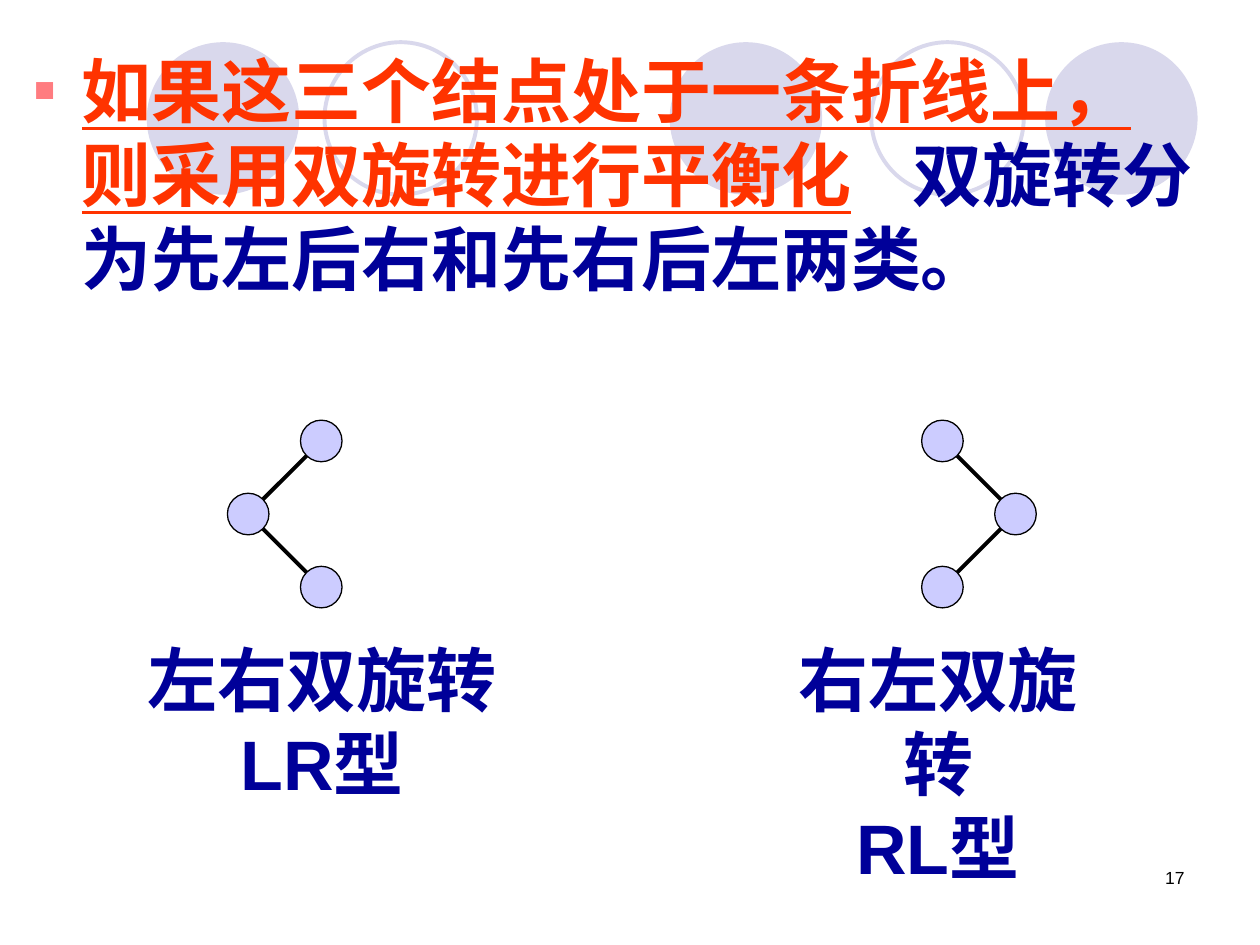
from lxml import etree
from pptx import Presentation
from pptx.dml.color import RGBColor
from pptx.enum import shapes, text
from pptx.oxml import ns
from pptx.util import Inches, Pt

LAVENDER = RGBColor(0xD9, 0xD8, 0xEC)
NODE_FILL = RGBColor(0xCC, 0xCC, 0xFF)
BLACK = RGBColor(0, 0, 0)
RED = RGBColor(0xFF, 0x33, 0x00)
NAVY = RGBColor(0x00, 0x00, 0x99)
CJK_FONT = "Noto Sans CJK SC"

prs = Presentation()
prs.slide_width, prs.slide_height = Inches(10), Inches(7.5)
slide = prs.slides.add_slide(prs.slide_layouts[1])
title = slide.shapes.title
title.element.getparent().remove(title.element)


def add_circle(center_x, center_y, size, fill, line, width):
    circle = slide.shapes.add_shape(
        shapes.MSO_SHAPE.OVAL, Inches(center_x - size / 2),
        Inches(center_y - size / 2), Inches(size), Inches(size))
    circle.shadow.inherit = False
    if fill is None:
        circle.fill.background()
    else:
        circle.fill.solid()
        circle.fill.fore_color.rgb = fill
    if line is None:
        circle.line.fill.background()
    else:
        circle.line.color.rgb = line
        circle.line.width = Pt(width)


def add_run(paragraph, words, size, color, font, bold=True, underline=None):
    run = paragraph.add_run()
    run.text = words
    run.font.size, run.font.name = Pt(size), font
    run.font.bold, run.font.underline = bold, underline
    run.font.color.rgb = color
    east_asian = etree.SubElement(run.font._element, ns.qn("a:ea"))
    east_asian.set("typeface", CJK_FONT)


# Decorative circles behind the statement
for center_x in (1.77, 5.92, 8.9):
    add_circle(center_x, 0.94, 1.21, LAVENDER, None, 0)
for center_x in (3.18, 7.52):
    add_circle(center_x, 0.94, 1.21, None, LAVENDER, 2.25)

# Statement, moved in front of the circles
statement = slide.placeholders[1]
slide.shapes._spTree.append(statement.element)
statement.left, statement.top = Inches(0.17), Inches(0.33)
statement.width, statement.height = Inches(9.42), Inches(2.33)
statement.text_frame.auto_size = text.MSO_AUTO_SIZE.NONE
rule = statement.text_frame.paragraphs[0]
rule.space_before = Pt(0)
props = rule._p.get_or_add_pPr()
props.set("marL", str(Inches(0.38)))
props.set("indent", str(-Inches(0.38)))
bullet_color = etree.SubElement(props, ns.qn("a:buClr"))
etree.SubElement(bullet_color, ns.qn("a:srgbClr")).set("val", "FF7C80")
etree.SubElement(props, ns.qn("a:buSzPct")).set("val", "50000")
etree.SubElement(props, ns.qn("a:buFont")).set("typeface", "Arial")
etree.SubElement(props, ns.qn("a:buChar")).set("char", "■")
add_run(rule, "如果这三个结点处于一条折线上，则采用双旋转进行平衡化", 40, RED, CJK_FONT,
        underline=True)
add_run(rule, "　", 35, RED, CJK_FONT)
add_run(rule, "双旋转分为先左后右和先右后左两类。", 40, NAVY, CJK_FONT)

# Three-node trees: outer nodes above and below, middle node to one side
STEP, MIDDLE_Y = 0.58, 4.08
for outer_x, side in ((2.55, -1), (7.48, 1)):
    middle = (outer_x + side * STEP, MIDDLE_Y)
    outer_nodes = [(outer_x, MIDDLE_Y - STEP), (outer_x, MIDDLE_Y + STEP)]
    for x, y in outer_nodes:
        edge = slide.shapes.add_connector(
            shapes.MSO_CONNECTOR.STRAIGHT, Inches(middle[0]),
            Inches(middle[1]), Inches(x), Inches(y))
        edge.line.color.rgb = BLACK
        edge.line.width = Pt(2.25)
        etree.SubElement(edge._element.spPr, ns.qn("a:effectLst"))
    for x, y in [middle] + outer_nodes:
        add_circle(x, y, 0.33, NODE_FILL, BLACK, 0.75)

# Captions under the trees, each title kept on one line
for left, width, lines in ((0.98, 3.15, ("左右双旋转", "LR型")),
                           (5.96, 2.97, ("右左双旋转", "RL型"))):
    caption = slide.shapes.add_textbox(
        Inches(left), Inches(5), Inches(width), Inches(1.44)).text_frame
    caption.word_wrap = False
    for number, words in enumerate(lines):
        line = caption.add_paragraph() if number else caption.paragraphs[0]
        line.alignment = text.PP_ALIGN.CENTER
        add_run(line, words, 40, NAVY, "Arial")

# Page number
page = slide.shapes.add_textbox(
    Inches(7.17), Inches(6.83), Inches(2.33), Inches(0.5)).text_frame
page.word_wrap = True
page.paragraphs[0].alignment = text.PP_ALIGN.RIGHT
add_run(page.paragraphs[0], "17", 10, BLACK, "Arial", bold=False)

prs.save("out.pptx")
